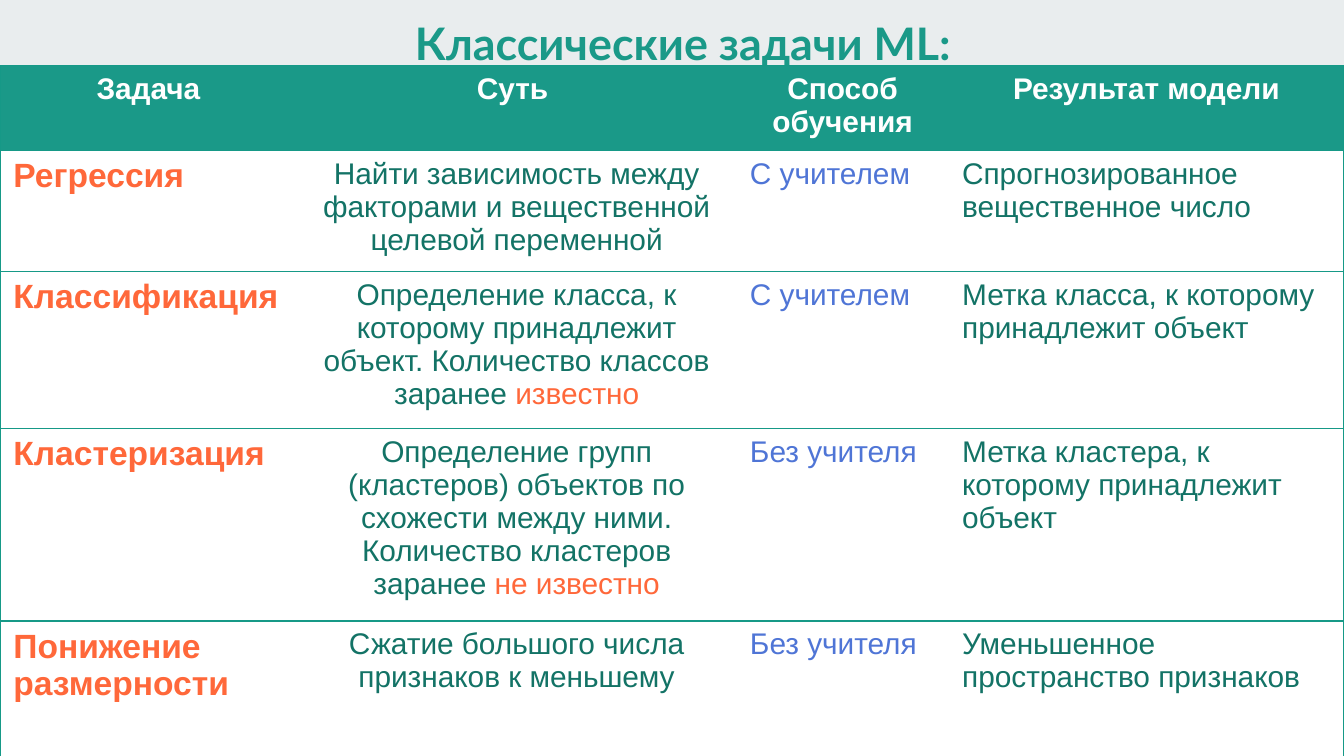
"""Build the slide that compares the classic tasks of machine learning."""
from dataclasses import dataclass

from lxml import etree
from pptx import Presentation
from pptx.dml.color import RGBColor
from pptx.enum.shapes import MSO_SHAPE
from pptx.enum.text import PP_ALIGN
from pptx.oxml.ns import qn
from pptx.util import Cm, Pt

RECTANGLE = MSO_SHAPE.RECTANGLE
LEFT, CENTER = PP_ALIGN.LEFT, PP_ALIGN.CENTER
PLAIN_STYLE = "{2D5ABB26-0587-4C30-8999-92F81FD0307C}"


@dataclass(frozen=True)
class Theme:
    title_font: str = "Lato"
    body_font: str = "Arial"
    title_size: float = 24
    task_size: float = 18
    body_size: float = 16
    rule_width: float = 0.75
    band: str = "E9EDEE"
    title: str = "1A9988"
    rule: str = "169987"
    white: str = "FFFFFF"
    body: str = "137366"
    accent: str = "FF683A"
    method: str = "4F75D6"


class SlideBuilder:
    def __init__(self, page, theme):
        self.page = page
        self.theme = theme

    def span(self, para, text, color, size, bold=False, font=None):
        span = para.add_run()
        span.text = text
        span.font.name = font or self.theme.body_font
        span.font.size = Pt(size)
        span.font.bold = bold
        span.font.color.rgb = RGBColor.from_string(color)

    def band(self, width, height):
        band = self.page.shapes.add_shape(RECTANGLE, 0, 0, Cm(width), Cm(height))
        band.shadow.inherit = False
        band.fill.solid()
        band.fill.fore_color.rgb = RGBColor.from_string(self.theme.band)
        band.line.fill.background()

    def title(self, text, left, top, width, height):
        box = self.page.shapes.add_textbox(Cm(left), Cm(top), Cm(width), Cm(height))
        frame = box.text_frame
        frame.word_wrap = True
        frame.margin_left = frame.margin_right = Cm(0.25)
        frame.margin_top = frame.margin_bottom = Cm(0.25)
        para = frame.paragraphs[0]
        para.alignment = CENTER
        para.line_spacing = 1.05
        properties = para._p.get_or_add_pPr()
        properties.set("marL", str(Cm(0.41)))
        properties.set("indent", "0")
        self.span(para, text, self.theme.title, self.theme.title_size, True, self.theme.title_font)

    def border(self, cell, side, visible):
        properties = cell._tc.get_or_add_tcPr()
        line = etree.SubElement(properties, qn(f"a:ln{side}"), w=str(Pt(self.theme.rule_width)))
        if visible:
            fill = etree.SubElement(line, qn("a:solidFill"))
            etree.SubElement(fill, qn("a:srgbClr"), val=self.theme.rule)
        else:
            etree.SubElement(line, qn("a:noFill"))

    def cell(self, cell, spans, alignment, size, bold, fill, edges):
        for side in "LRTB":
            self.border(cell, side, side in edges)
        cell.fill.solid()
        cell.fill.fore_color.rgb = RGBColor.from_string(fill)
        para = cell.text_frame.paragraphs[0]
        para.alignment = alignment
        for text, color in spans:
            self.span(para, text, color, size, bold)

    def table(self, header, tasks, top, widths, heights):
        theme = self.theme
        frame = self.page.shapes.add_table(
            len(heights), len(widths), 0, Cm(top), Cm(sum(widths)), Cm(sum(heights)))
        table = frame.table
        table.horz_banding = False
        table._tbl.tblPr.find(qn("a:tableStyleId")).text = PLAIN_STYLE
        for column, width in zip(table.columns, widths):
            column.width = Cm(width)
        for row, height in zip(table.rows, heights):
            row.height = Cm(height)

        last = len(widths) - 1
        edges = ["TB" + "L" * (i == 0) + "R" * (i == last) for i in range(len(widths))]
        for i, text in enumerate(header):
            self.cell(table.cell(0, i), [(text, theme.white)], CENTER,
                      theme.body_size, True, theme.title, edges[i])
        for number, (task, essence, highlight, method, result) in enumerate(tasks, 1):
            essence_spans = [(essence, theme.body)]
            if highlight:
                essence_spans.append((highlight, theme.accent))
            columns = (
                ([(task, theme.accent)], LEFT, theme.task_size, True),
                (essence_spans, CENTER, theme.body_size, False),
                ([(method, theme.method)], LEFT, theme.body_size, False),
                ([(result, theme.body)], LEFT, theme.body_size, False),
            )
            for i, style in enumerate(columns):
                self.cell(table.cell(number, i), *style, theme.white, edges[i])


HEADER = ("Задача", "Суть ", "Способ обучения", "Результат модели")
TASKS = (
    ("Регрессия", "Найти зависимость между факторами и вещественной целевой переменной", "",
     "С учителем", "Спрогнозированное вещественное число"),
    ("Классификация",
     "Определение класса, к которому принадлежит объект. Количество классов заранее ", "известно",
     "С учителем", "Метка класса, к которому принадлежит объект"),
    ("Кластеризация",
     "Определение групп (кластеров) объектов по схожести между ними. Количество кластеров заранее ",
     "не известно", "Без учителя", "Метка кластера, к которому принадлежит объект"),
    ("Понижение размерности", "Сжатие большого числа признаков к меньшему", "",
     "Без учителя", "Уменьшенное пространство признаков"),
)


def main():
    deck = Presentation()
    deck.slide_width, deck.slide_height = Cm(25.4), Cm(14.29)
    page = deck.slides.add_slide(deck.slide_layouts[6])
    builder = SlideBuilder(page, Theme())
    builder.band(25.4, 1.35)
    builder.title("Классические задачи ML:", 0.99, 0, 23.42, 1.63)
    builder.table(HEADER, TASKS, top=1.24, widths=(5.61, 8.31, 4.01, 7.47),
                  heights=(1.52, 2.18, 2.82, 3.48, 3.05))
    deck.save("out.pptx")


if __name__ == "__main__":
    main()
